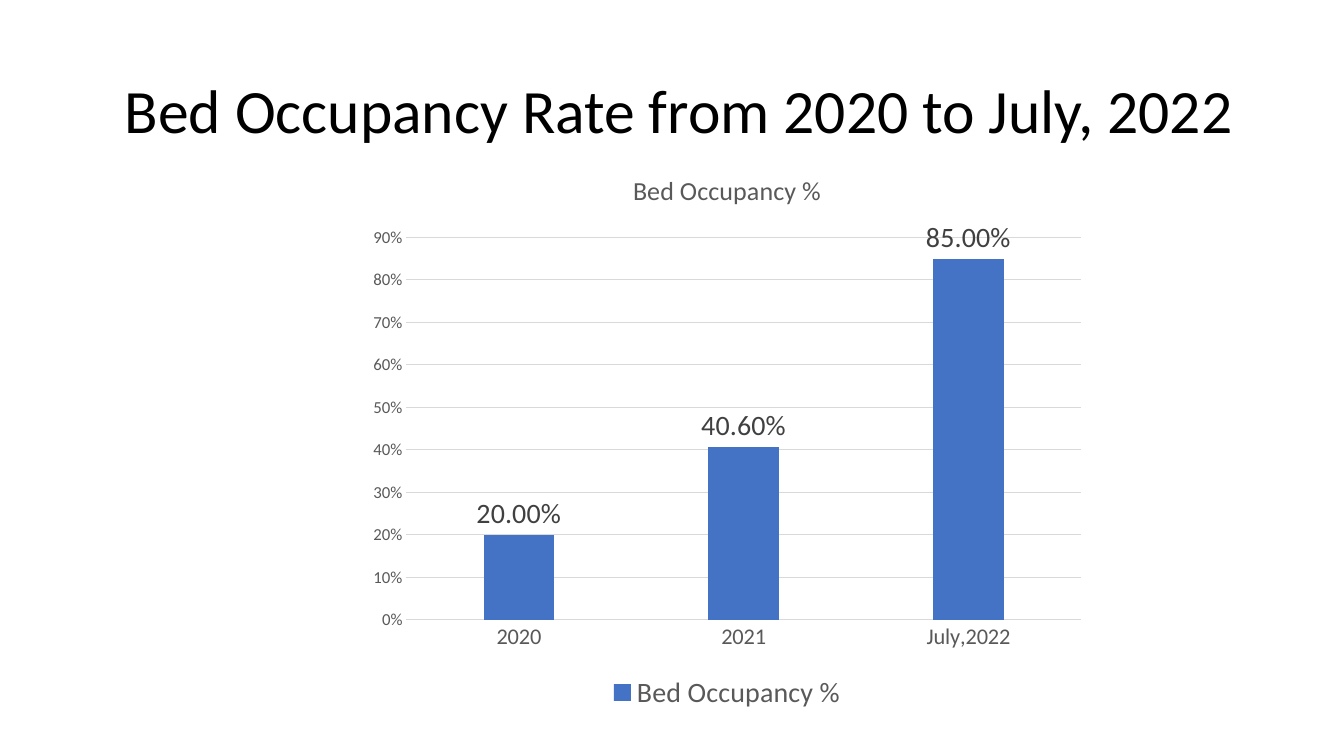
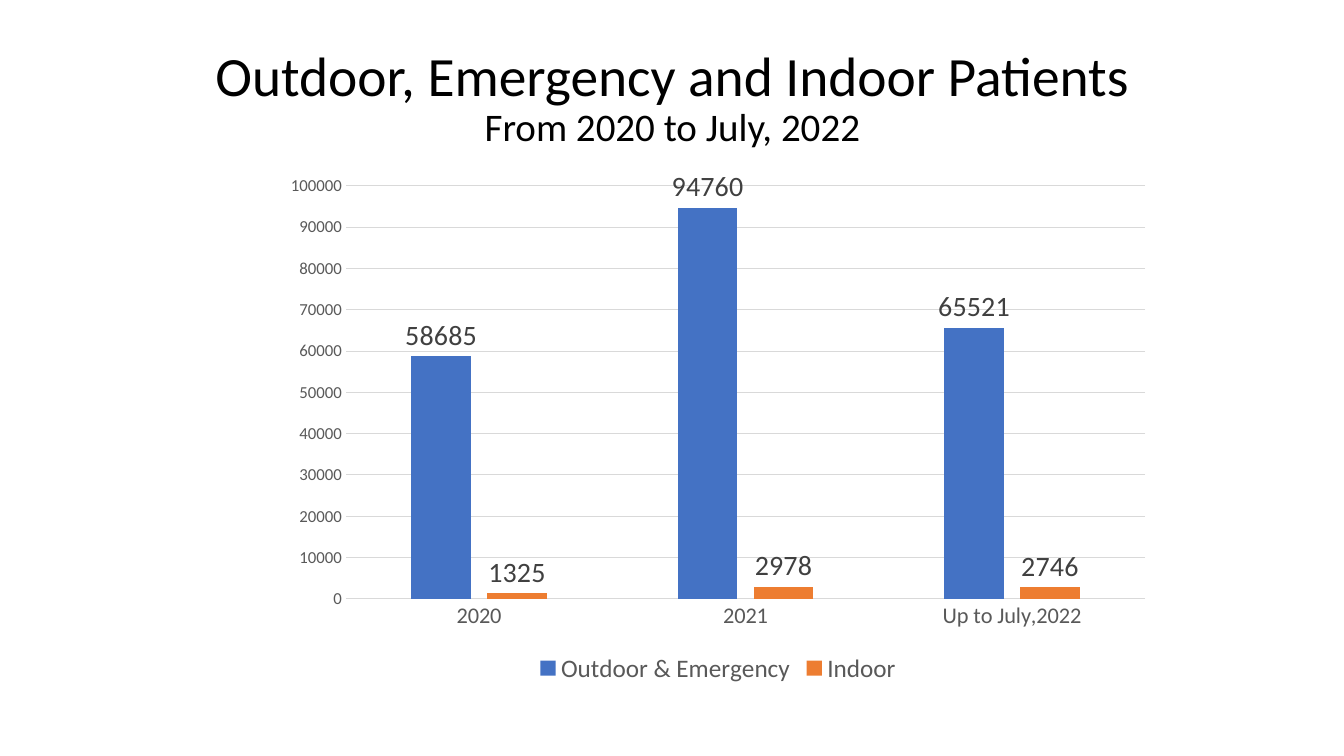
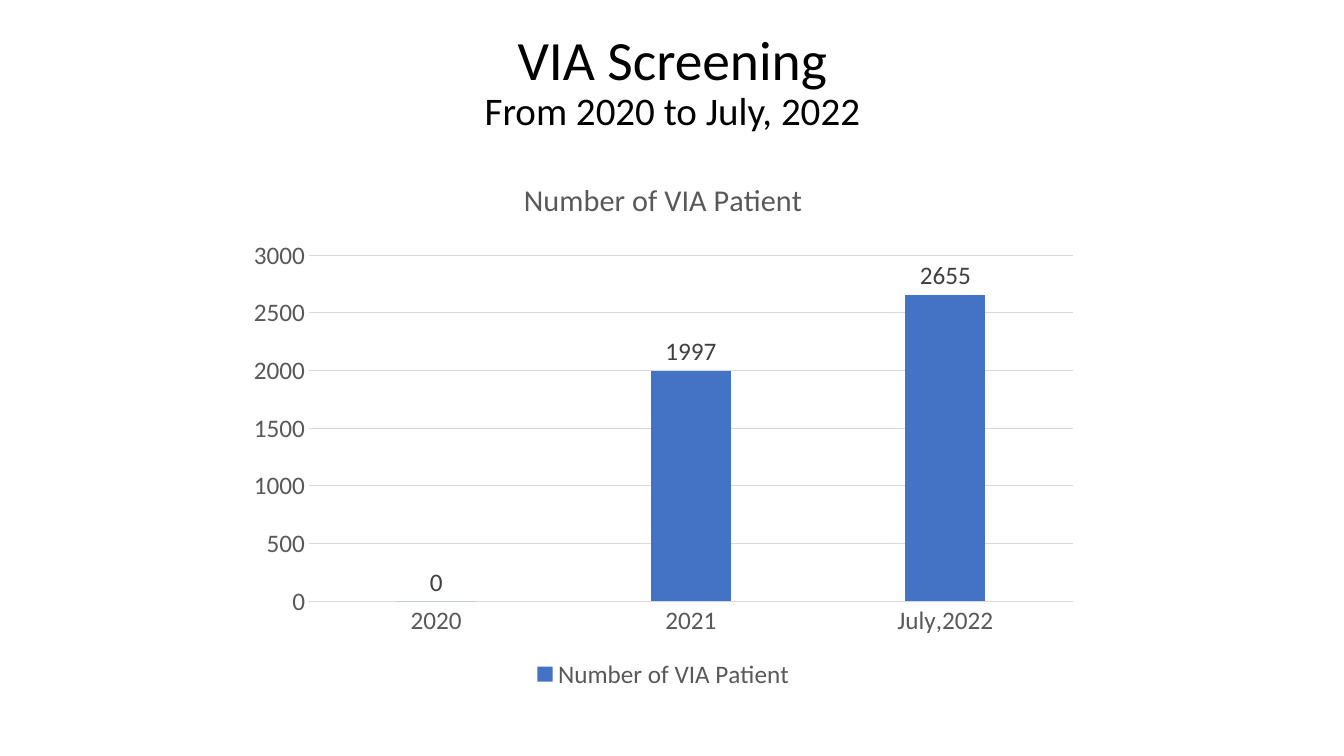
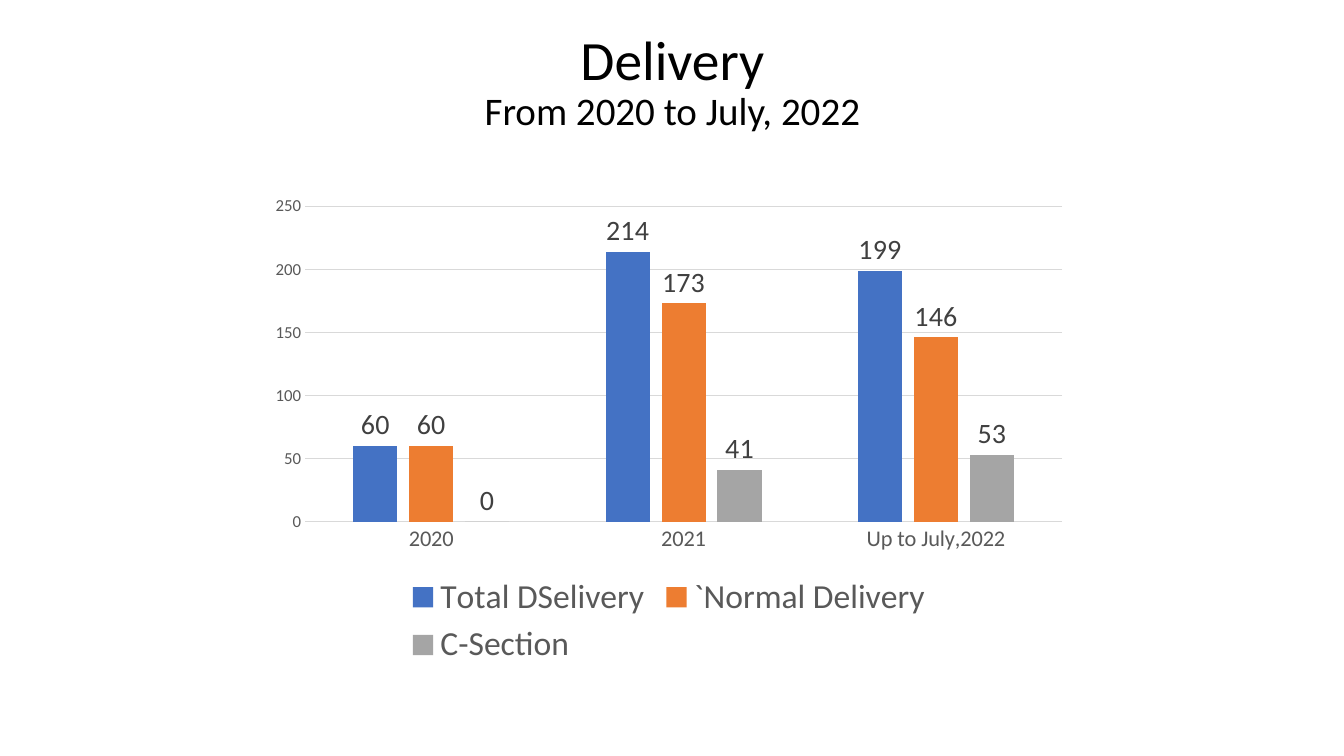
from dataclasses import dataclass
from typing import Any

from pptx import Presentation
from pptx.chart.data import CategoryChartData
from pptx.dml.color import RGBColor
from pptx.enum.chart import XL_CHART_TYPE, XL_LABEL_POSITION, XL_LEGEND_POSITION, XL_TICK_MARK
from pptx.enum.text import MSO_ANCHOR, MSO_AUTO_SIZE, PP_ALIGN
from pptx.util import Cm, Pt


@dataclass(frozen=True)
class Theme:
    font: str = "Calibri"
    ink: str = "000000"
    muted: str = "595959"
    label: str = "404040"
    grid: str = "D9D9D9"
    series: tuple[str, ...] = ("4472C4", "ED7D31", "A5A5A5")
    single_title: float = 44
    heading: float = 39.6
    subheading: float = 27.9
    chart_base: float = 10


THEME = Theme()
PERIOD = "From 2020 to July, 2022"
TO_JULY = ("2020", "2021", "July,2022")
UP_TO_JULY = ("2020", "2021", "Up to July,2022")


@dataclass(frozen=True)
class Box:
    """A place on the slide, in centimetres."""
    left: float
    top: float
    width: float
    height: float

    def lengths(self) -> tuple[Cm, Cm, Cm, Cm]:
        return Cm(self.left), Cm(self.top), Cm(self.width), Cm(self.height)


@dataclass(frozen=True)
class ChartSizes:
    category: float = 16
    value: float = 12
    label: float = 20
    legend: float = 20
    title: float = 18.6


@dataclass(frozen=True)
class ChartPage:
    heading: str
    heading_box: Box
    chart_box: Box
    categories: tuple[str, ...]
    series: dict[str, tuple[float, ...]]
    axis_maximum: float
    axis_step: float
    sizes: ChartSizes
    subheading: str = ""
    chart_title: str = ""
    axis_format: str = "General"
    label_format: str = "General"


LOWER_TITLE = Box(2.34, 1.17, 29.21, 2.67)
UPPER_TITLE = Box(2.34, 0.76, 29.21, 2.67)

PAGES = (
    ChartPage(
        heading="Bed Occupancy Rate from 2020 to July, 2022",
        heading_box=Box(2.52, 1.02, 29.21, 3.68),
        chart_box=Box(9.04, 3.81, 18.57, 14.22),
        categories=TO_JULY,
        series={"Bed Occupancy %": (0.2, 0.406, 0.85)},
        axis_maximum=0.9, axis_step=0.1,
        sizes=ChartSizes(),
        chart_title="Bed Occupancy %",
        axis_format="0%", label_format="0.00%",
    ),
    ChartPage(
        heading="Outdoor, Emergency and Indoor Patients",
        subheading=PERIOD,
        heading_box=LOWER_TITLE,
        chart_box=Box(6.88, 4.17, 22.43, 13.18),
        categories=UP_TO_JULY,
        series={
            "Outdoor & Emergency": (58685, 94760, 65521),
            "Indoor": (1325, 2978, 2746),
        },
        axis_maximum=100000, axis_step=10000,
        sizes=ChartSizes(legend=18),
    ),
    ChartPage(
        heading="VIA Screening",
        subheading=PERIOD,
        heading_box=UPPER_TITLE,
        chart_box=Box(5.97, 3.96, 21.49, 13.54),
        categories=TO_JULY,
        series={"Number of VIA Patient": (0, 1997, 2655)},
        axis_maximum=3000, axis_step=500,
        sizes=ChartSizes(category=18, value=18, label=18, legend=18, title=21.6),
        chart_title="Number of VIA Patient",
    ),
    ChartPage(
        heading="Delivery",
        subheading=PERIOD,
        heading_box=UPPER_TITLE,
        chart_box=Box(6.53, 4.7, 20.65, 12.24),
        categories=UP_TO_JULY,
        series={
            "Total DSelivery": (60, 214, 199),
            "`Normal Delivery": (60, 173, 146),
            "C-Section": (0, 41, 53),
        },
        axis_maximum=250, axis_step=50,
        sizes=ChartSizes(legend=24),
    ),
)


def set_values(target: Any, values: dict[str, Any]) -> None:
    for name, value in values.items():
        setattr(target, name, value)


def style_font(font: Any, size: float, color: str) -> None:
    set_values(font, {"name": THEME.font, "size": Pt(size), "bold": False})
    font.color.rgb = RGBColor.from_string(color)


def style_line(line: Any) -> None:
    line.color.rgb = RGBColor.from_string(THEME.grid)
    line.width = Pt(0.75)


def place_title(title: Any, page: ChartPage) -> None:
    left, top, width, height = page.heading_box.lengths()
    set_values(title, {"left": left, "top": top, "width": width, "height": height})
    frame = title.text_frame
    set_values(frame, {
        "word_wrap": True,
        "auto_size": MSO_AUTO_SIZE.NONE,
        "vertical_anchor": MSO_ANCHOR.MIDDLE,
    })
    para = frame.paragraphs[0]
    set_values(para, {"alignment": PP_ALIGN.CENTER, "line_spacing": 0.9})
    span = para.add_run()
    span.text = page.heading
    style_font(span.font, THEME.heading if page.subheading else THEME.single_title, THEME.ink)
    if page.subheading:
        para.add_line_break()
        span = para.add_run()
        span.text = page.subheading
        style_font(span.font, THEME.subheading, THEME.ink)


def style_axes(chart: Any, page: ChartPage) -> None:
    ticks = {"major_tick_mark": XL_TICK_MARK.NONE, "minor_tick_mark": XL_TICK_MARK.NONE}
    category_axis, value_axis = chart.category_axis, chart.value_axis
    set_values(category_axis, ticks | {"has_major_gridlines": False})
    set_values(value_axis, ticks | {
        "has_major_gridlines": True,
        "minimum_scale": 0,
        "maximum_scale": page.axis_maximum,
        "major_unit": page.axis_step,
    })
    style_font(category_axis.tick_labels.font, page.sizes.category, THEME.muted)
    style_font(value_axis.tick_labels.font, page.sizes.value, THEME.muted)
    set_values(value_axis.tick_labels, {
        "number_format": page.axis_format, "number_format_is_linked": False,
    })
    style_line(category_axis.format.line)
    style_line(value_axis.major_gridlines.format.line)
    value_axis.format.line.fill.background()


def style_series(plot: Any, page: ChartPage) -> None:
    set_values(plot, {"gap_width": 219, "overlap": -27, "vary_by_categories": False})
    for series, color in zip(plot.series, THEME.series):
        series.format.fill.solid()
        series.format.fill.fore_color.rgb = RGBColor.from_string(color)
        labels = series.data_labels
        set_values(labels, {
            "show_value": True,
            "position": XL_LABEL_POSITION.OUTSIDE_END,
            "number_format": page.label_format,
            "number_format_is_linked": False,
        })
        style_font(labels.font, page.sizes.label, THEME.label)


def add_column_chart(slide: Any, page: ChartPage) -> None:
    data = CategoryChartData(number_format=page.label_format)
    data.categories = page.categories
    for name, values in page.series.items():
        data.add_series(name, values)
    chart = slide.shapes.add_chart(
        XL_CHART_TYPE.COLUMN_CLUSTERED, *page.chart_box.lengths(), data
    ).chart
    style_font(chart.font, THEME.chart_base, THEME.ink)
    set_values(chart, {"has_title": bool(page.chart_title), "has_legend": True})
    if page.chart_title:
        frame = chart.chart_title.text_frame
        frame.text = page.chart_title
        style_font(frame.paragraphs[0].runs[0].font, page.sizes.title, THEME.muted)
        chart.chart_title.include_in_layout = False
    set_values(chart.legend, {
        "position": XL_LEGEND_POSITION.BOTTOM, "include_in_layout": False,
    })
    style_font(chart.legend.font, page.sizes.legend, THEME.muted)
    style_axes(chart, page)
    style_series(chart.plots[0], page)


def main() -> None:
    deck = Presentation()
    set_values(deck, {"slide_width": Cm(33.87), "slide_height": Cm(19.05)})
    title_only = deck.slide_layouts.get_by_name("Title Only")
    for page in PAGES:
        slide = deck.slides.add_slide(title_only)
        place_title(slide.shapes.title, page)
        add_column_chart(slide, page)
    deck.save("out.pptx")


if __name__ == "__main__":
    main()
